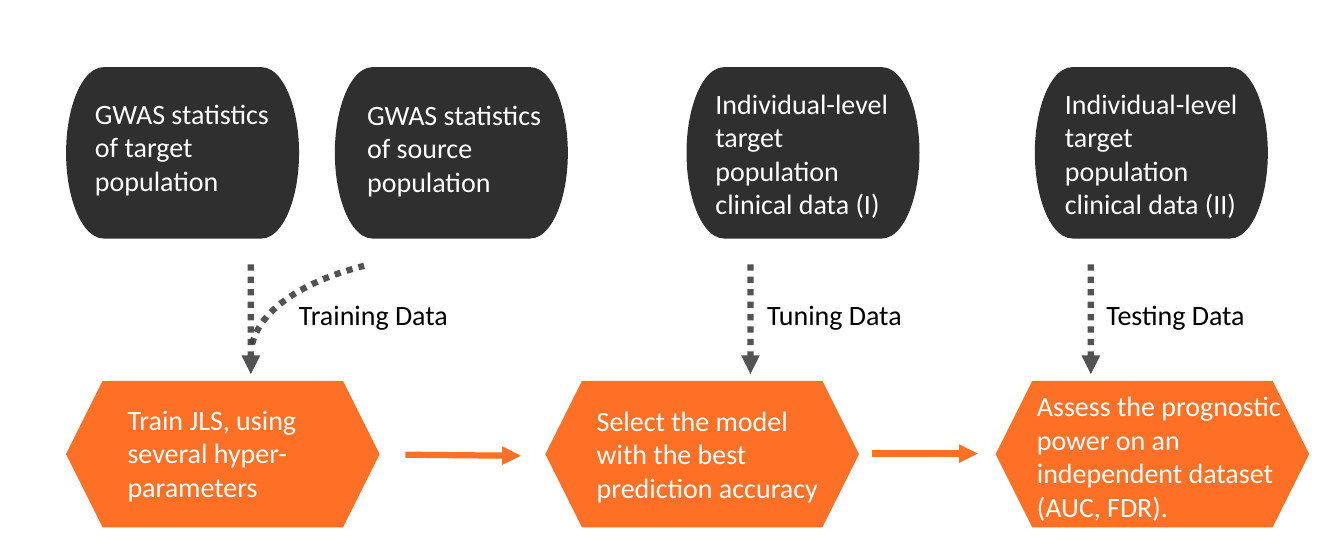
from lxml import etree
from pptx import Presentation
from pptx.dml.color import RGBColor
from pptx.enum.dml import MSO_LINE
from pptx.enum.shapes import MSO_CONNECTOR, MSO_SHAPE
from pptx.enum.text import MSO_AUTO_SIZE
from pptx.oxml.ns import qn
from pptx.util import Inches, Pt

DOTTED = MSO_LINE.ROUND_DOT
STRAIGHT = MSO_CONNECTOR.STRAIGHT
TERMINATOR, HEXAGON, ARC = MSO_SHAPE.FLOWCHART_TERMINATOR, MSO_SHAPE.HEXAGON, MSO_SHAPE.ARC
FIT_SHAPE = MSO_AUTO_SIZE.SHAPE_TO_FIT_TEXT
DARK, ORANGE, ARROW_ORANGE, GRAY = "2F2F2F", "FE7026", "FD7026", "404040"
WHITE, BLACK = "FFFFFF", "000000"

deck = Presentation()
deck.slide_width, deck.slide_height = Inches(12), Inches(5)
page = deck.slides.add_slide(deck.slide_layouts[6])


def add_text(text, left, top, width, height, size=18, color=WHITE, font="Calibri"):
    box = page.shapes.add_textbox(Inches(left), Inches(top), Inches(width), Inches(height))
    frame = box.text_frame
    frame.word_wrap = True
    frame.auto_size = FIT_SHAPE
    frame.text = text
    for para in frame.paragraphs:
        para.font.name = font
        para.font.size = Pt(size)
        para.font.color.rgb = RGBColor.from_string(color)


def style_line(shape, color, dotted=False, arrow=False):
    line = shape.line
    line.width = Pt(4)
    line.color.rgb = RGBColor.from_string(color)
    properties = shape.element.spPr
    outline = properties.find(qn("a:ln"))
    if dotted:
        line.dash_style = DOTTED
        shade = outline.find(qn("a:solidFill"))[0]
        etree.SubElement(shade, qn("a:alpha"), val="90000")
    if arrow:
        etree.SubElement(outline, qn("a:tailEnd"), type="triangle")
    etree.SubElement(properties, qn("a:effectLst"))


# Data sources and processing steps: shape position, then text with its position
sources = [
    (0.59, "GWAS statistics of target population", 0.75, 0.81, 1.01),
    (2.99, "GWAS statistics of source population", 3.18, 0.82, 1.01),
    (6.13, "Individual-level target population clinical data (I)", 6.29, 0.72, 1.31),
    (9.24, "Individual-level target population clinical data (II)", 9.41, 0.72, 1.31),
]
steps = [
    (0.59, "Train JLS, using several hyper-parameters", 1.04, 3.54, 2.08, 1.01),
    (4.87, "Select the model with the best prediction accuracy", 5.23, 3.55, 2.34, 0.91),
    (8.89, "Assess the prognostic power on an independent dataset\n(AUC, FDR).",
     9.16, 3.42, 2.8, 1.31),
]
blocks = [(TERMINATOR, DARK, left, 0.6, 2.08, 1.53, text, (x, y, 1.83, height))
          for left, text, x, y, height in sources]
blocks += [(HEXAGON, ORANGE, left, 3.4, 2.8, 1.31, text, place)
           for left, text, *place in steps]
for kind, color, left, top, width, height, text, place in blocks:
    block = page.shapes.add_shape(kind, Inches(left), Inches(top), Inches(width), Inches(height))
    block.shadow.inherit = False
    block.fill.solid()
    block.fill.fore_color.rgb = RGBColor.from_string(color)
    block.line.fill.background()
    add_text(text, *place)

# Curve joining the source population to the training arrow
curve = page.shapes.add_shape(ARC, Inches(2.24), Inches(2.27), Inches(3.79), Inches(1.8))
for index, degrees in enumerate((183, 222)):
    curve.adjustments[index] = degrees * 0.6
curve.fill.background()
style_line(curve, GRAY, dotted=True)

# Dotted data arrows and solid arrows between steps
arrows = [(x, 2.36, x, 3.34, GRAY, True) for x in (2.24, 6.7, 9.74)]
arrows += [(3.62, 4.06, 4.65, 4.07, ARROW_ORANGE, False),
           (7.79, 4.05, 8.73, 4.05, ARROW_ORANGE, False)]
for x1, y1, x2, y2, color, dotted in arrows:
    arrow = page.shapes.add_connector(STRAIGHT, Inches(x1), Inches(y1), Inches(x2), Inches(y2))
    style_line(arrow, color, dotted=dotted, arrow=True)

# Data labels beside the dotted arrows
for left, label in ((2.57, "Training Data"), (6.75, "Tuning Data"), (9.78, "Testing Data")):
    add_text(label, left, 2.61, 2.08, 0.4, color=BLACK)

deck.save("out.pptx")
